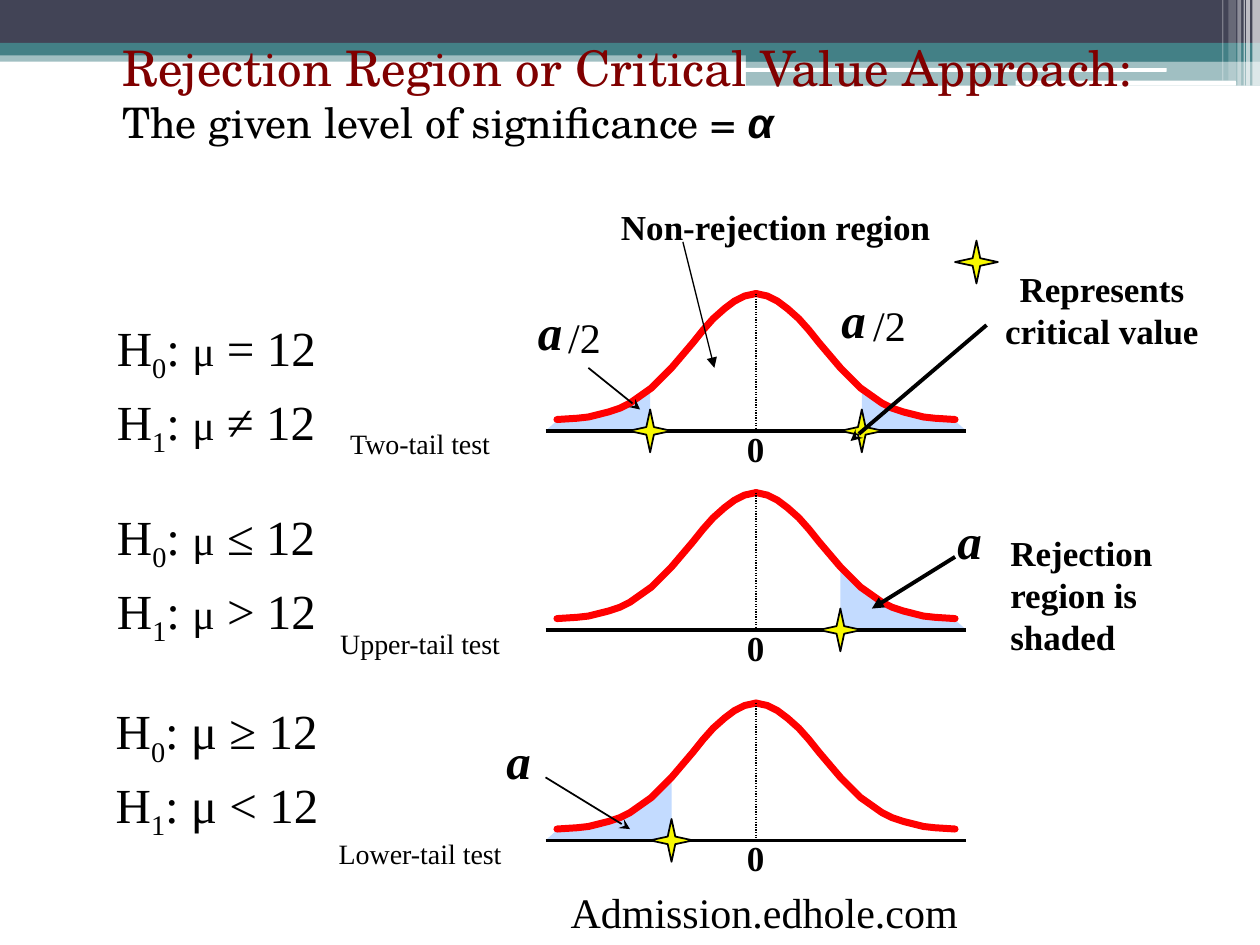
from dataclasses import dataclass
from typing import NamedTuple

from lxml import etree
from pptx import Presentation
from pptx.dml.color import RGBColor
from pptx.enum import dml, shapes, text
from pptx.oxml import ns
from pptx.util import Inches, Pt

COLORS = {
    "navy": "424456", "teal": "438086", "white": "FFFFFF", "black": "000000",
    "maroon": "800000", "red": "FF0000", "tail": "C3DBFF", "star": "F8F800",
}
SERIF, SCHOLA, SANS = "Times New Roman", "TeX Gyre Schola", "Arial"
CENTER = 6.0
# Right half of the bell: distance from the centre, height above the axis
BELL = [(0, 1.09), (.09, 1.07), (.17, 1.03), (.25, .97), (.34, .89), (.42, .8),
        (.5, .7), (.67, .5), (.83, .34), (1, .22), (1.08, .18), (1.17, .15),
        (1.25, .13), (1.33, .11), (1.42, .1), (1.58, .09)]
TAIL = [(1.67, 0), (1.58, .08), (1.24, .14), (1.07, .2), (.87, .32)]


class Run(NamedTuple):
    words: str
    size: float = 20
    bold: bool = False
    italic: bool = False
    font: str = SERIF
    color: str = "black"
    subscript: bool = False


class Band(NamedTuple):
    box: tuple
    color: str
    opacity: int = 100
    rounded: bool = False


class Arrow(NamedTuple):
    start: tuple
    end: tuple
    width: float
    head: str


@dataclass
class Test:
    name: str
    axis: float              # height of the horizontal axis
    cutoff: float            # distance of the critical value from the centre
    edge: float              # curve height at the cutoff
    sides: tuple             # -1 lower tail, 1 upper tail
    signs: tuple             # relation in H0 and H1
    hypotheses_box: tuple
    mu_size: float = 24


BANDS = [
    Band((0, .4, 10, .09), "teal", 50),
    Band((0, 0, 10, .34), "navy"),
    Band((0, .34, 10, .1), "teal"),
    Band((5.92, .39, 4.08, .1), "teal"),
    Band((5.92, .48, 4.08, .2), "teal", 50),
    Band((5.91, .54, 3.35, .03), "white", rounded=True),
    Band((8.06, .64, 1.75, .04), "white", rounded=True),
    *(Band((x, 0, w, h), "white", opacity) for x, w, h, opacity in [
        (9.94, .06, .68, 65), (9.89, .03, .68, 65), (9.87, .01, .68, 60),
        (9.82, .03, .68, 40), (9.75, .06, .64, 20), (9.7, .01, .64, 30)]),
]
TESTS = [
    Test("Two-tail test", 3.42, .84, .34, (-1, 1), ("=", "≠"), (.83, 2.42, 2.1, 1.26)),
    Test("Upper-tail test", 5, .67, .5, (1,), ("≤", ">"), (.83, 3.92, 2.35, 1.26)),
    Test("Lower-tail test", 6.67, .67, .5, (-1,), ("≥", "<"), (.82, 5.46, 2.26, 1.26), 28),
]
ARROWS = [
    Arrow((5.42, 1.92), (5.67, 2.92), .75, "triangle"),
    Arrow((4.67, 2.92), (5.08, 3.25), 1, "stealth"),
    Arrow((7.83, 2.58), (6.75, 3.5), 2.25, "stealth"),
    Arrow((7.58, 4.42), (6.92, 4.83), 2.25, "triangle"),
    Arrow((4.33, 6.17), (5, 6.58), 1, "stealth"),
]


def rgb(color: str) -> RGBColor:
    return RGBColor.from_string(COLORS[color])


def style(shape, fill: str = "", line: str = "", width: float = 0) -> None:
    shape.shadow.inherit = False
    if fill:
        shape.fill.solid()
        shape.fill.fore_color.rgb = rgb(fill)
    else:
        shape.fill.background()
    if line:
        shape.line.color.rgb = rgb(line)
        shape.line.width = Pt(width)
    else:
        shape.line.fill.background()


def draw_band(slide, band: Band) -> None:
    kind = shapes.MSO_SHAPE.ROUNDED_RECTANGLE if band.rounded else shapes.MSO_SHAPE.RECTANGLE
    bar = slide.shapes.add_shape(kind, *map(Inches, band.box))
    style(bar, band.color)
    if band.opacity < 100:
        tint = bar.fill._xPr.find(".//" + ns.qn("a:srgbClr"))
        etree.SubElement(tint, ns.qn("a:alpha"), val=str(band.opacity * 1000))


def write(slide, box: tuple, *lines: list, align=text.PP_ALIGN.LEFT, spacing: float = 1,
          left: float = .1, top: float = .05, fill: str = "") -> None:
    if fill:
        label = slide.shapes.add_shape(shapes.MSO_SHAPE.RECTANGLE, *map(Inches, box))
        style(label, fill)
    else:
        label = slide.shapes.add_textbox(*map(Inches, box))
    frame = label.text_frame
    frame.word_wrap = True
    frame.vertical_anchor = text.MSO_ANCHOR.TOP
    frame.margin_left, frame.margin_top = Inches(left), Inches(top)
    for i, line in enumerate(lines):
        paragraph = frame.add_paragraph() if i else frame.paragraphs[0]
        paragraph.alignment, paragraph.line_spacing = align, spacing
        for piece in line:
            run = paragraph.add_run()
            run.text = piece.words
            font = run.font
            font.name, font.size = piece.font, Pt(piece.size)
            font.bold, font.italic = piece.bold, piece.italic
            font.color.rgb = rgb(piece.color)
            if piece.subscript:
                run._r.get_or_add_rPr().set("baseline", "-25000")


def draw_line(slide, start: tuple, end: tuple, width: float, head: str = ""):
    line = slide.shapes.add_connector(shapes.MSO_CONNECTOR.STRAIGHT, *map(Inches, start + end))
    line.line.color.rgb = rgb("black")
    line.line.width = Pt(width)
    if head:
        etree.SubElement(line.line._get_or_add_ln(), ns.qn("a:tailEnd"), type=head)
    etree.SubElement(line._element.spPr, ns.qn("a:effectLst"))
    return line


def draw_outline(slide, test: Test, side: int, offsets: list, closed: bool):
    points = [(Inches(CENTER + side * x), Inches(test.axis - y)) for x, y in offsets]
    builder = slide.shapes.build_freeform(*points[0])
    builder.add_line_segments(points[1:], close=closed)
    return builder.convert_to_shape()


def draw_star(slide, x: float, y: float) -> None:
    star = slide.shapes.add_shape(shapes.MSO_SHAPE.STAR_4_POINT, Inches(x - .17),
                                  Inches(y - .17), Inches(.34), Inches(.34))
    star.adjustments[0] = .125
    style(star, "star", "black", 1)


def draw_test(slide, test: Test) -> None:
    for side in test.sides:
        tail = TAIL + [(test.cutoff, test.edge), (test.cutoff, 0)]
        style(draw_outline(slide, test, side, tail, True), "tail")
    for side in (-1, 1):
        half = draw_outline(slide, test, side, BELL, False)
        style(half, line="red", width=4)
        half.line._get_or_add_ln().set("cap", "rnd")
    draw_line(slide, (4.33, test.axis), (7.67, test.axis), 2)
    middle = draw_line(slide, (CENTER, test.axis - 1.09), (CENTER, test.axis), .75)
    middle.line.dash_style = dml.MSO_LINE.ROUND_DOT
    for side in test.sides:
        draw_star(slide, CENTER + side * test.cutoff, test.axis)
    write(slide, (5.83, test.axis - .08, .33, .43), [Run("0", bold=True)])
    write(slide, (2.5, test.axis - .08, 1.67, .36), [Run(test.name, 16)],
          align=text.PP_ALIGN.CENTER)
    hypotheses = [[Run("H", 28), Run(str(i), 28, subscript=True), Run(": ", 28),
                   Run("μ", test.mu_size), Run(f" {sign} 12", 28)]
                  for i, sign in enumerate(test.signs)]
    write(slide, test.hypotheses_box, *hypotheses, spacing=1.1)


def main() -> None:
    deck = Presentation()
    deck.slide_width, deck.slide_height = Inches(10), Inches(7.5)
    slide = deck.slides.add_slide(deck.slide_layouts[6])

    # Header bands and title
    for band in BANDS:
        draw_band(slide, band)
    write(slide, (.75, .25, 8.83, 7),
          [Run("Rejection Region or Critical Value Approach:", 28, font=SCHOLA, color="maroon")],
          [Run("The given level of significance = ", 24, font=SCHOLA),
           Run("α", 24, True, True, SANS)], left=.22)

    # Three tests with curves and hypotheses
    for test in TESTS:
        draw_test(slide, test)

    # Tail areas
    for x, y in [(4.17, 2.34), (6.58, 2.25), (7.5, 4), (3.92, 5.75)]:
        write(slide, (x, y, .42, .56), [Run("a", 28, True, True)])
    for x, y in [(4.33, 2.42), (6.75, 2.33)]:
        write(slide, (x, y, .76, .5), [Run("/2", 24)], left=.18)

    # Region labels and legend
    write(slide, (4.83, 1.58, 2.73, .44), [Run("Non-rejection region", bold=True)])
    write(slide, (7.58, 2, 2.25, .77), [Run("Represents", bold=True)],
          [Run("critical value", bold=True)], align=text.PP_ALIGN.CENTER,
          left=.18, top=.12, fill="white")
    draw_star(slide, 7.75, 2.08)
    write(slide, (7.92, 4.17, 1.67, 1.1), [Run("Rejection region is shaded", bold=True)],
          fill="white")
    for arrow in ARROWS:
        draw_line(slide, *arrow)

    # Footer
    write(slide, (4.43, 6.99, 3.4, .5), [Run("Admission.edhole.com", 24)])
    deck.save("out.pptx")


if __name__ == "__main__":
    main()
